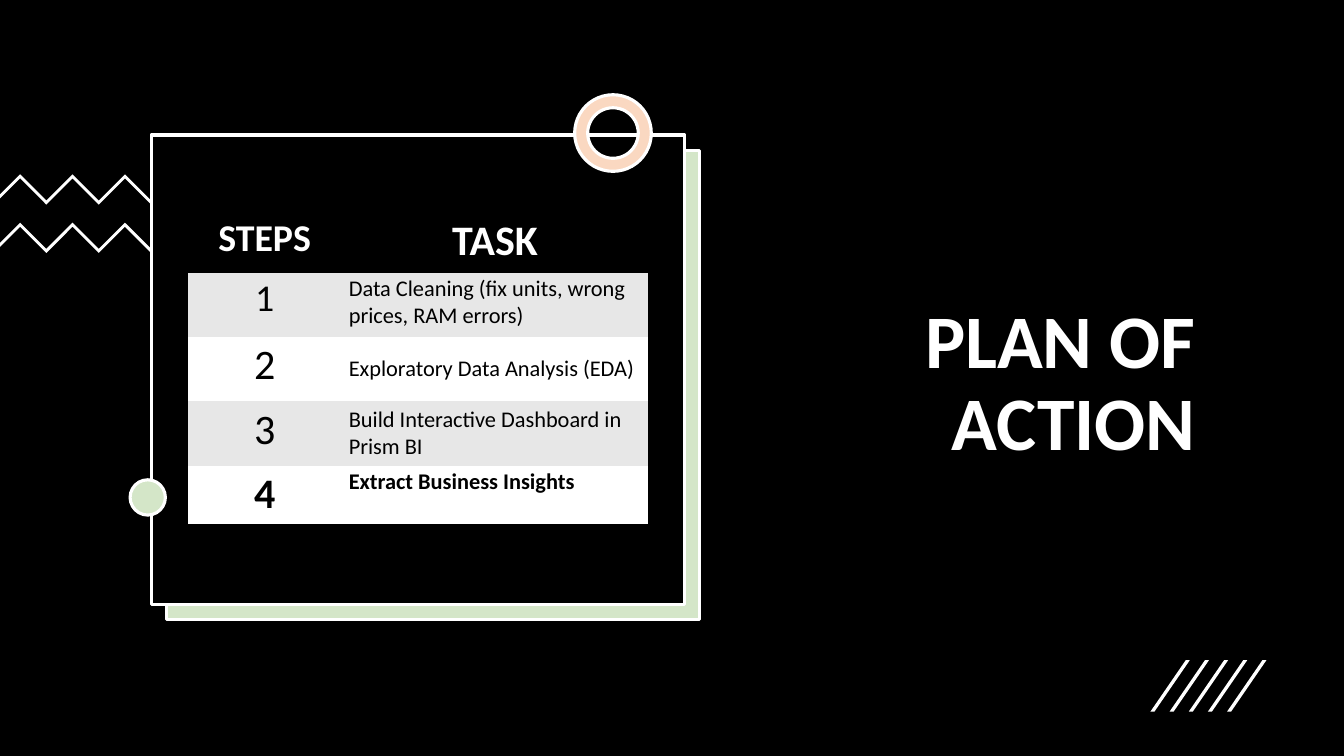
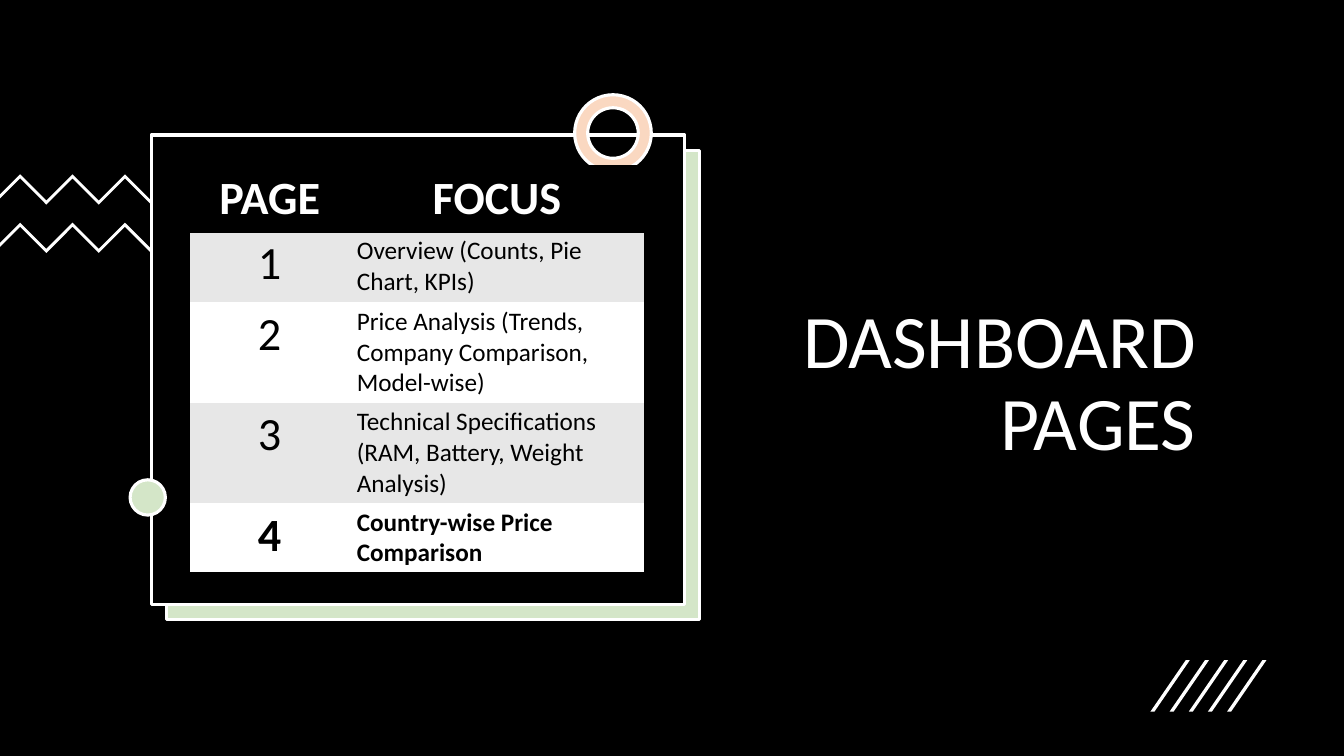
from lxml.etree import SubElement
from pptx import Presentation
from pptx.dml.color import RGBColor
from pptx.enum.shapes import MSO_SHAPE as Shape
from pptx.enum.text import MSO_ANCHOR as Anchor, MSO_AUTO_SIZE as AutoSize, PP_ALIGN as Align
from pptx.oxml.ns import qn
from pptx.util import Inches, Pt

COLORS = {
    "black": "000000",
    "white": "FFFFFF",
    "green": "D4E6C8",
    "peach": "FAD8C1",
    "band": "E7E7E7",
}
FONT = "Calibri"
NO_STYLE_GRID = "{2D5ABB26-0587-4C30-8999-92F81FD0307C}"
PANEL_SIZE = (5.29, 4.66)

PLAN = {
    "title": "PLAN OF ACTION",
    "title_bold": True,
    "place": (1.86, 2.11),
    "columns": (1.53, 3.04),
    "rows": (0.59, 0.64, 0.64, 0.64, 0.59),
    "inset": 0.03,
    "header": ("STEPS", "TASK"),
    "header_sizes": (27, 30),
    "number_sizes": (27, 30, 30, 30),
    "text_size": 16,
    "middle_rows": (2, 3),
    "entries": (
        "Data Cleaning (fix units, wrong prices, RAM errors)",
        "Exploratory Data Analysis (EDA)",
        "Build Interactive Dashboard in Prism BI",
        "Extract Business Insights",
    ),
}
PAGES = {
    "title": "DASHBOARD PAGES",
    "title_bold": False,
    "place": (1.88, 1.65),
    "columns": (1.59, 2.92),
    "rows": (0.65, 0.7, 0.99, 0.99, 0.7),
    "inset": 0.04,
    "header": ("PAGE", "FOCUS"),
    "header_sizes": (33, 33),
    "number_sizes": (33, 33, 33, 33),
    "text_size": 18,
    "middle_rows": (),
    "entries": (
        "Overview (Counts, Pie Chart, KPIs)",
        "Price Analysis (Trends, Company Comparison, Model-wise)",
        "Technical Specifications (RAM, Battery, Weight Analysis)",
        "Country-wise Price Comparison",
    ),
}


def rgb(name):
    return RGBColor.from_string(COLORS[name])


def set_values(target, values):
    for attribute, value in values.items():
        setattr(target, attribute, value)


def paint(fill, color):
    fill.solid()
    fill.fore_color.rgb = rgb(color)


def write(paragraph, text, color, align, **font_values):
    paragraph.alignment = align
    run = paragraph.add_run()
    run.text = text
    set_values(run.font, {"name": FONT, **font_values})
    run.font.color.rgb = rgb(color)


def add_title(slide, text, bold):
    title = slide.shapes.title
    set_values(title, {
        "left": Inches(7.36), "top": Inches(0.75),
        "width": Inches(4.6), "height": Inches(3.93),
    })
    set_values(title.text_frame, {
        "word_wrap": True,
        "auto_size": AutoSize.NONE,
        "vertical_anchor": Anchor.BOTTOM,
    })
    paragraph = title.text_frame.paragraphs[0]
    paragraph.line_spacing = 0.9
    write(paragraph, text, "white", Align.RIGHT, size=Pt(54), bold=bold)


def add_outlined(slide, kind, place, size, color):
    shape = slide.shapes.add_shape(kind, *map(Inches, (*place, *size)))
    shape.shadow.inherit = False
    paint(shape.fill, color)
    paint(shape.line.fill, "white")
    shape.line.width = Pt(2.25)
    return shape


def add_outline(slide, points, left, top):
    corners = [(Inches(left + x), Inches(top + y)) for x, y in points]
    builder = slide.shapes.build_freeform(*corners[0])
    builder.add_line_segments(corners[1:], close=True)
    shape = builder.convert_to_shape()
    shape.shadow.inherit = False
    paint(shape.fill, "white")
    shape.line.fill.background()


def add_decoration(slide):
    add_outlined(slide, Shape.RECTANGLE, (1.65, 1.49), PANEL_SIZE, "green")

    upper = [(0.2 + 0.26 * i, 0.26 * (i % 2)) for i in range(7)]
    lower = [(x, y + 0.04) for x, y in reversed(upper)]
    zigzag = [*upper, (2.04, 0.27), (2.01, 0.29), *lower, (0, 0.24), (0, 0.2)]
    for top in (1.73, 2.21):
        add_outline(slide, zigzag, 0, top)

    add_outlined(slide, Shape.RECTANGLE, (1.5, 1.34), PANEL_SIZE, "black")
    add_outlined(slide, Shape.OVAL, (1.29, 4.76), (0.35, 0.35), "green")
    ring = add_outlined(slide, Shape.DONUT, (5.7, 0.94), (0.76, 0.76), "peach")
    ring.adjustments[0] = 0.17

    stripe = [(0.04, 0.51), (0, 0.51), (0.35, 0), (0.39, 0)]
    for i in range(5):
        add_outline(slide, stripe, 11.41 + 0.19 * i, 6.55)


def add_border(cell, side):
    properties = cell._tc.get_or_add_tcPr()
    border = SubElement(properties, qn(f"a:ln{side}"), w=str(Pt(2)))
    fill = SubElement(border, qn("a:solidFill"))
    SubElement(fill, qn("a:srgbClr"), val=COLORS["black"])


def fill_cell(cell, text, fill, color, align, inset, borders, anchor, **font_values):
    for side in borders:
        add_border(cell, side)
    paint(cell.fill, fill)
    set_values(cell, {
        "margin_left": Inches(0.07), "margin_right": Inches(0.07),
        "margin_top": Inches(inset), "margin_bottom": Inches(inset),
        "vertical_anchor": anchor,
    })
    write(cell.text_frame.paragraphs[0], text, color, align, **font_values)


def add_task_table(slide, content):
    columns, rows = content["columns"], content["rows"]
    lengths = (*content["place"], sum(columns), sum(rows))
    table = slide.shapes.add_table(len(rows), len(columns), *map(Inches, lengths)).table
    table._tbl.tblPr.find(qn("a:tableStyleId")).text = NO_STYLE_GRID
    for column, width in zip(table.columns, columns):
        column.width = Inches(width)
    for row, height in zip(table.rows, rows):
        row.height = Inches(height)

    inset = content["inset"]
    for i, (heading, size) in enumerate(zip(content["header"], content["header_sizes"])):
        fill_cell(table.cell(0, i), heading, "black", "white", Align.CENTER,
                  inset, "TB", Anchor.TOP, size=Pt(size), bold=True)

    entries = zip(content["entries"], content["number_sizes"])
    for number, (entry, number_size) in enumerate(entries, 1):
        last = number == len(content["entries"])
        fill = "band" if number % 2 else "white"
        anchor = Anchor.MIDDLE if number in content["middle_rows"] else Anchor.TOP
        cells = (
            (str(number), number_size, Align.CENTER, Anchor.TOP),
            (entry, content["text_size"], Align.LEFT, anchor),
        )
        for i, (text, size, align, cell_anchor) in enumerate(cells):
            fill_cell(table.cell(number, i), text, fill, "black", align, inset,
                      "B" if last else "", cell_anchor, size=Pt(size), bold=last)


def main():
    deck = Presentation()
    set_values(deck, {"slide_width": Inches(13.33), "slide_height": Inches(7.5)})
    paint(deck.slide_master.background.fill, "black")
    for content in (PLAN, PAGES):
        slide = deck.slides.add_slide(deck.slide_layouts[5])
        add_title(slide, content["title"], content["title_bold"])
        add_decoration(slide)
        add_task_table(slide, content)
    deck.save("out.pptx")


if __name__ == "__main__":
    main()
